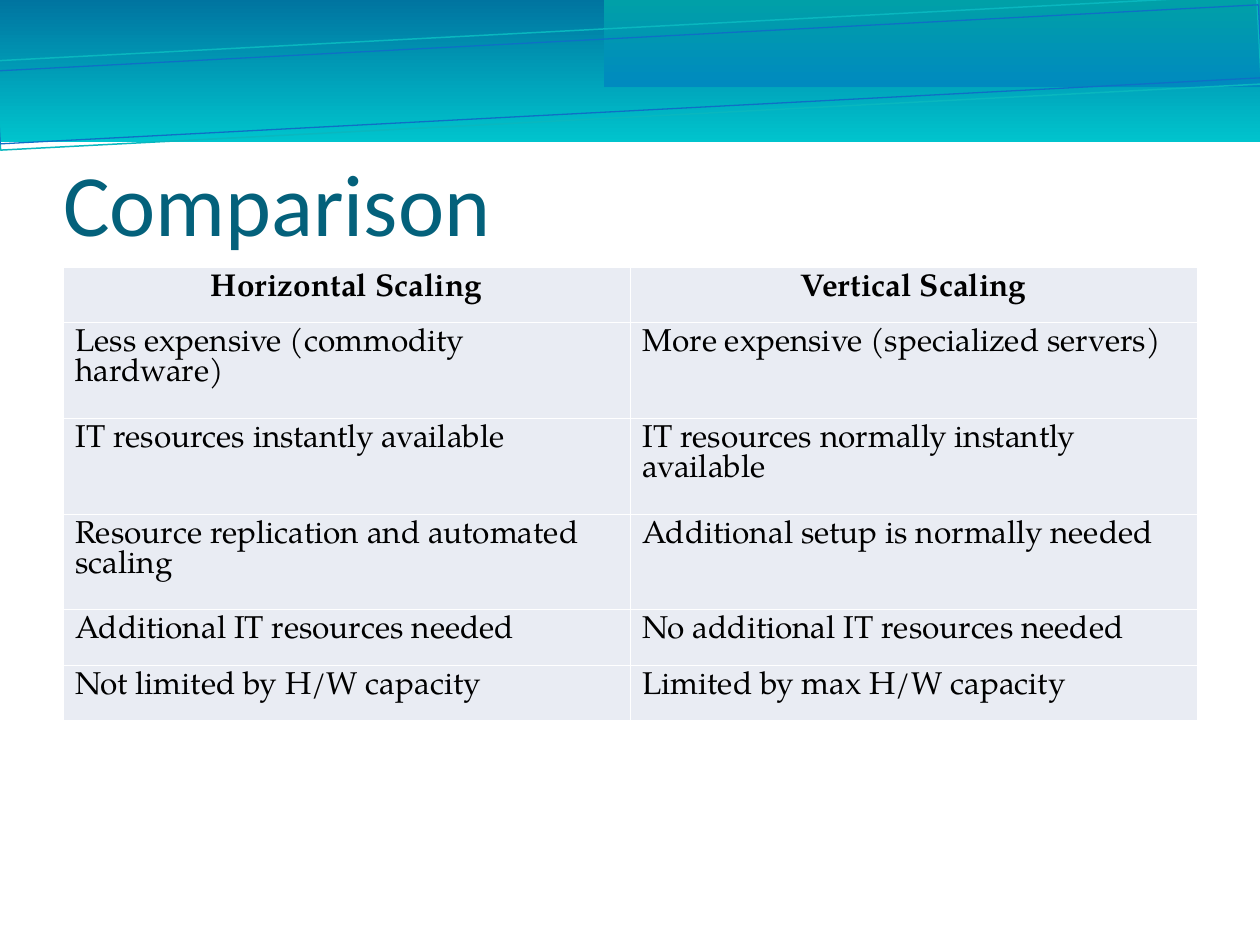
from pptx import Presentation
from pptx.dml.color import RGBColor
from pptx.enum.shapes import MSO_SHAPE
from pptx.enum.text import MSO_ANCHOR, MSO_AUTO_SIZE, PP_ALIGN
from pptx.oxml import parse_xml
from pptx.oxml.ns import nsdecls
from pptx.util import Inches, Pt

RECT = MSO_SHAPE.RECTANGLE
BOTTOM = MSO_ANCHOR.BOTTOM
NO_FIT = MSO_AUTO_SIZE.NONE
LEFT, CENTER = PP_ALIGN.LEFT, PP_ALIGN.CENTER

BLACK = RGBColor(0x00, 0x00, 0x00)
WHITE = RGBColor(0xFF, 0xFF, 0xFF)
NAVY = RGBColor(0x04, 0x61, 0x7B)
DEEP = RGBColor(0x00, 0x74, 0xA0)
AQUA = RGBColor(0x00, 0xC4, 0xCD)
SKY = RGBColor(0x00, 0x8A, 0xBF)
TEAL = RGBColor(0x00, 0xA0, 0xA8)
CYAN = RGBColor(0x09, 0xB7, 0xBF)
BLUE = RGBColor(0x0F, 0x6F, 0xC6)
PALE = RGBColor(0xE9, 0xEC, 0xF3)

ROWS = [
    ("Horizontal Scaling", "Vertical Scaling"),
    ("Less expensive (commodity hardware)", "More expensive (specialized servers)"),
    ("IT resources instantly available", "IT resources normally instantly available"),
    ("Resource replication and automated scaling", "Additional setup is normally needed"),
    ("Additional IT resources needed", "No additional IT resources needed"),
    ("Not limited by H/W capacity", "Limited by max H/W capacity"),
]
LOW, HIGH = 0.44, 0.76
HEIGHTS = [LOW, HIGH, HIGH, HIGH, LOW, LOW]


class Deck:
    head_font = "Calibri"
    body_font = "TeX Gyre Pagella"

    def __init__(self):
        self.prs = Presentation()
        self.prs.slide_width = Inches(10)
        self.prs.slide_height = Inches(7.5)
        self.slide = self.prs.slides.add_slide(self.prs.slide_layouts[5])

    def rect(self, *box):
        shape = self.slide.shapes.add_shape(RECT, *map(Inches, box))
        shape.shadow.inherit = False
        return shape

    def band(self, box, start, end, angle):
        """Add a gradient rectangle; angle runs counter-clockwise."""
        shape = self.rect(*box)
        shape.line.fill.background()
        shape.fill.gradient()
        shape.fill.gradient_angle = angle
        for stop, color in zip(shape.fill.gradient_stops, (start, end)):
            stop.color.rgb = color

    def frame(self, box, color, width):
        """Add a slightly turned, unfilled outline."""
        shape = self.rect(*box)
        shape.rotation = 357
        shape.fill.background()
        shape.line.color.rgb = color
        shape.line.width = Pt(width)

    def style(self, para, name, size, color, align=LEFT, bold=False):
        para.alignment = align
        font = para.font
        font.name, font.size, font.bold = name, Pt(size), bold
        font.color.rgb = color

    def title(self, text, box):
        shape = self.slide.shapes.title
        shape.left, shape.top, shape.width, shape.height = map(Inches, box)
        frame = shape.text_frame
        frame.text = text
        frame.auto_size = NO_FIT
        frame.word_wrap = True
        frame.vertical_anchor = BOTTOM
        frame.margin_left = frame.margin_right = frame.margin_bottom = 0
        frame.margin_top = Inches(0.05)
        self.style(frame.paragraphs[0], self.head_font, 50, NAVY)
        self.slide.shapes.element.append(shape.element)  # bring to front

    def border(self, cell, color, width):
        props = cell._tc.get_or_add_tcPr()
        for side in "LRTB":
            props.append(parse_xml(
                f'<a:ln{side} {nsdecls("a")} w="{Pt(width)}"><a:solidFill>'
                f'<a:srgbClr val="{color}"/></a:solidFill></a:ln{side}>'))

    def table(self, rows, heights, left, top, width):
        count = len(rows[0])
        grid = self.slide.shapes.add_table(
            len(rows), count, Inches(left), Inches(top),
            Inches(width), Inches(sum(heights))).table
        for col in grid.columns:
            col.width = Inches(width / count)
        for r, (texts, height) in enumerate(zip(rows, heights)):
            grid.rows[r].height = Inches(height)
            for c, text in enumerate(texts):
                cell = grid.cell(r, c)
                cell.text = text
                self.border(cell, WHITE, 0.45)
                cell.fill.solid()
                cell.fill.fore_color.rgb = PALE
                para = cell.text_frame.paragraphs[0]
                para.line_spacing = 0.95
                self.style(para, self.body_font, 18, BLACK,
                           LEFT if r else CENTER, r == 0)


def main():
    deck = Deck()
    deck.band((-0.01, -0.01, 10.02, 1.14), DEEP, AQUA, 270)
    deck.band((4.79, -0.01, 5.21, 0.7), SKY, TEAL, 90)
    deck.frame((-0.02, 0.22, 10.02, 0.71), CYAN, 0.85)
    deck.frame((-0.02, 0.3, 10.03, 0.58), BLUE, 0.75)
    deck.title("Comparison", (0.5, 0.77, 9, 1.25))
    deck.table(ROWS, HEIGHTS, 0.5, 2.12, 9)
    deck.prs.save("out.pptx")


if __name__ == "__main__":
    main()
